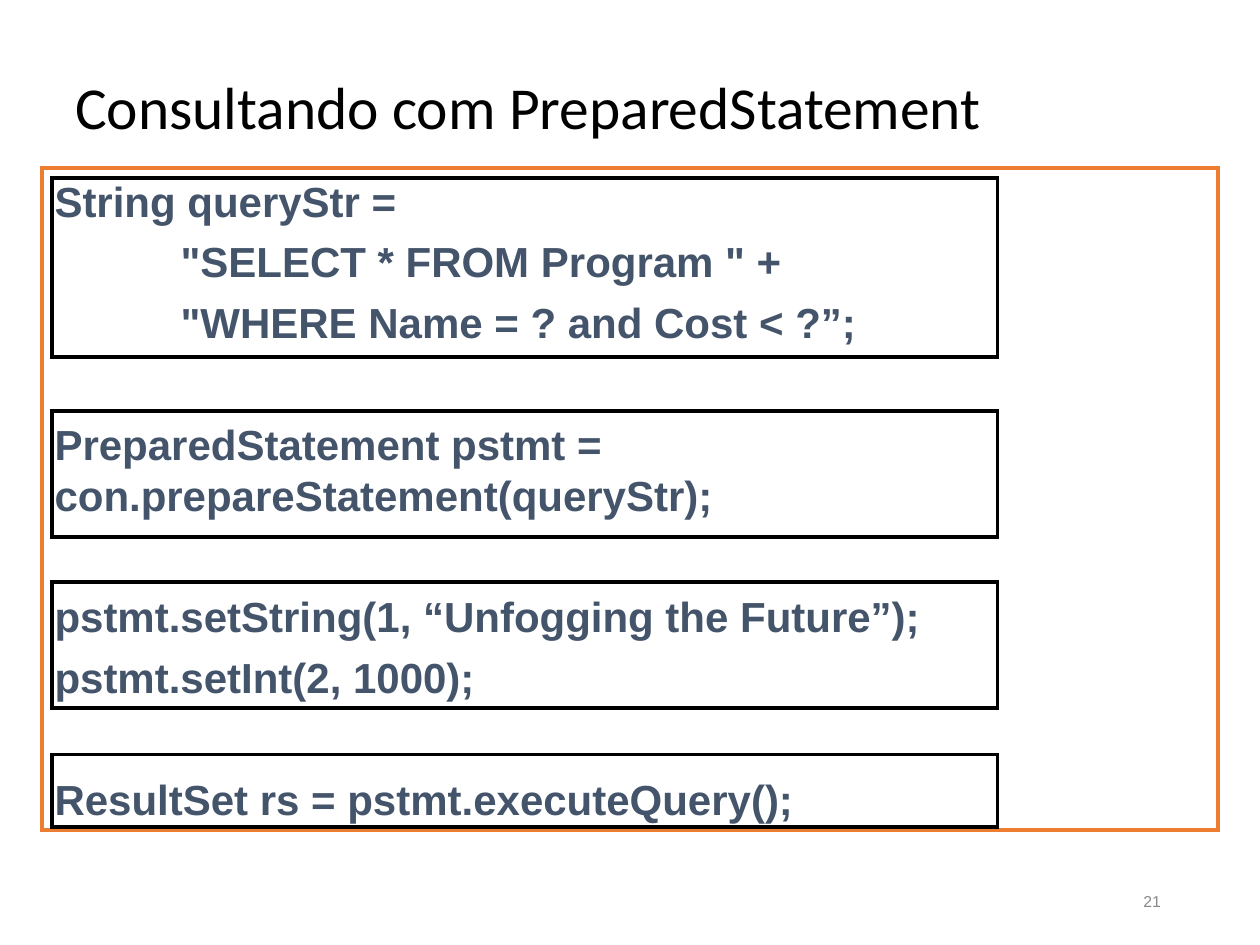
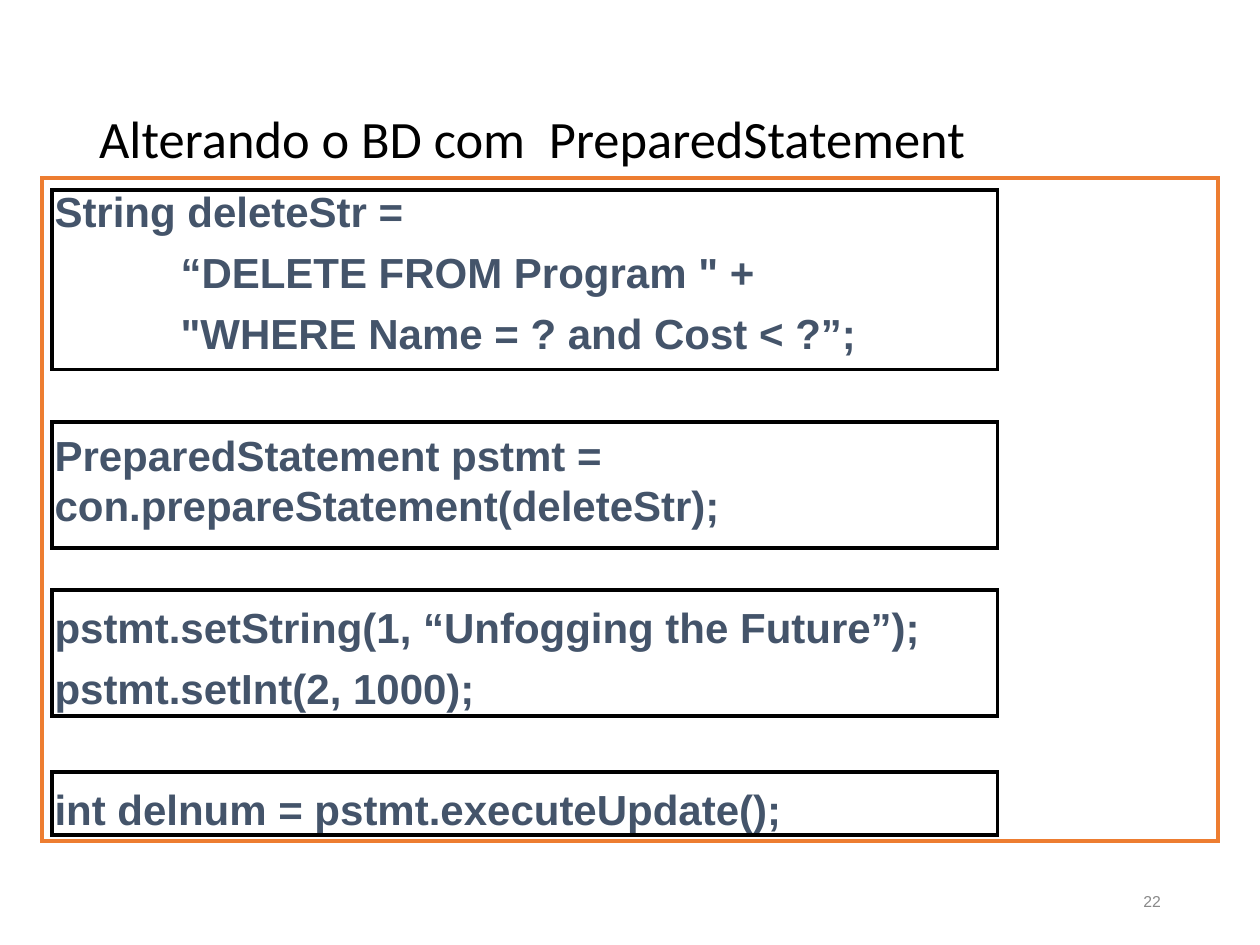
from lxml import etree
from pptx import Presentation
from pptx.dml.color import RGBColor
from pptx.enum.shapes import MSO_SHAPE
from pptx.enum.text import MSO_ANCHOR, PP_ALIGN
from pptx.oxml.ns import qn
from pptx.util import Cm, Pt

BLACK = RGBColor(0x00, 0x00, 0x00)
WHITE = RGBColor(0xFF, 0xFF, 0xFF)
ORANGE = RGBColor(0xED, 0x7D, 0x31)
SLATE = RGBColor(0x44, 0x54, 0x6A)
GRAY = RGBColor(0x89, 0x89, 0x89)

CODE_LINE = 28.8
CODE_GAP = 6
BLOCK_GAP = CODE_LINE + 2 * CODE_GAP
CODE_TAB = Cm(2.54)


class CodeDeck:
    def __init__(self):
        self.deck = Presentation()
        self.deck.slide_width = Cm(25.4)
        self.deck.slide_height = Cm(19.05)
        self.page = None

    def add_page(self):
        self.page = self.deck.slides.add_slide(self.deck.slide_layouts[6])

    def style(self, para, name, size, color, bold=False):
        para.font.name = name
        para.font.size = Pt(size)
        para.font.color.rgb = color
        para.font.bold = bold

    def label(self, text, left, top, width, height):
        """Add a vertically centred one-line text box and return its paragraph."""
        box = self.page.shapes.add_textbox(Cm(left), Cm(top), Cm(width), Cm(height))
        box.text_frame.word_wrap = True
        box.text_frame.vertical_anchor = MSO_ANCHOR.MIDDLE
        para = box.text_frame.paragraphs[0]
        para.text = text
        return para

    def title(self, text, size, left, top, width, height):
        para = self.label(text, left, top, width, height)
        para.line_spacing = 0.9
        self.style(para, "Calibri", size, BLACK)

    def page_number(self, number):
        para = self.label(str(number), 17.93, 17.65, 5.72, 1.02)
        para.alignment = PP_ALIGN.RIGHT
        self.style(para, "Arial", 9, GRAY)

    def rectangle(self, left, top, width, height, line_color):
        """Add an unfilled rectangle with sharp corners."""
        box = self.page.shapes.add_shape(
            MSO_SHAPE.RECTANGLE, Cm(left), Cm(top), Cm(width), Cm(height))
        box.shadow.inherit = False
        box.fill.background()
        box.line.color.rgb = line_color
        box.line.width = Pt(2.25)
        outline = box.line._get_or_add_ln()
        etree.SubElement(outline, qn("a:miter"), lim="800000")
        return box

    def add_tab_stop(self, para, position):
        stops = etree.SubElement(para._p.get_or_add_pPr(), qn("a:tabLst"))
        etree.SubElement(stops, qn("a:tab"), pos=str(position), algn="l")

    def code_panel(self, top, blocks):
        """Write blocks of code lines, with a wider gap between blocks."""
        box = self.rectangle(0.85, top, 23.7, 13.36, ORANGE)
        box.fill.solid()
        box.fill.fore_color.rgb = WHITE
        frame = box.text_frame
        frame.word_wrap = True
        frame.vertical_anchor = MSO_ANCHOR.TOP
        frame.margin_top = Cm(0.15)
        para = frame.paragraphs[0]
        for block_index, block in enumerate(blocks):
            for line_index, line in enumerate(block):
                if block_index or line_index:
                    para = frame.add_paragraph()
                    para.space_before = Pt(CODE_GAP if line_index else BLOCK_GAP)
                para.text = line
                para.alignment = PP_ALIGN.LEFT
                para.line_spacing = Pt(CODE_LINE)
                self.add_tab_stop(para, CODE_TAB)
                self.style(para, "Arial", 24, SLATE, bold=True)

    def block_frames(self, spans):
        for top, height in spans:
            self.rectangle(1.05, top, 19.06, height, BLACK)


def statement_blocks(variable, sql_start, execution):
    return [
        [f"String {variable} =", f"\t{sql_start}", '\t"WHERE Name = ? and Cost < ?”;'],
        [f"PreparedStatement pstmt =\vcon.prepareStatement({variable});"],
        ["pstmt.setString(1, “Unfogging the Future”);", "pstmt.setInt(2, 1000);"],
        [execution],
    ]


def main():
    slides = CodeDeck()

    slides.add_page()
    slides.title("Consultando com PreparedStatement", 34, 1.27, 1.06, 22.43, 2.34)
    slides.page_number(21)
    slides.code_panel(3.38, statement_blocks(
        "queryStr", '"SELECT * FROM Program " +', "ResultSet rs = pstmt.executeQuery();"))
    slides.block_frames([(3.58, 3.61), (8.28, 2.54), (11.74, 2.54), (15.21, 1.46)])

    slides.add_page()
    slides.title("Alterando o BD com  PreparedStatement", 30, 1.75, 1.02, 21.92, 3.68)
    slides.page_number(22)
    slides.code_panel(3.59, statement_blocks(
        "deleteStr", '“DELETE FROM Program " +', "int delnum = pstmt.executeUpdate();"))
    slides.block_frames([(3.84, 3.61), (8.5, 2.54), (11.9, 2.54), (15.56, 1.27)])

    slides.deck.save("out.pptx")


if __name__ == "__main__":
    main()
